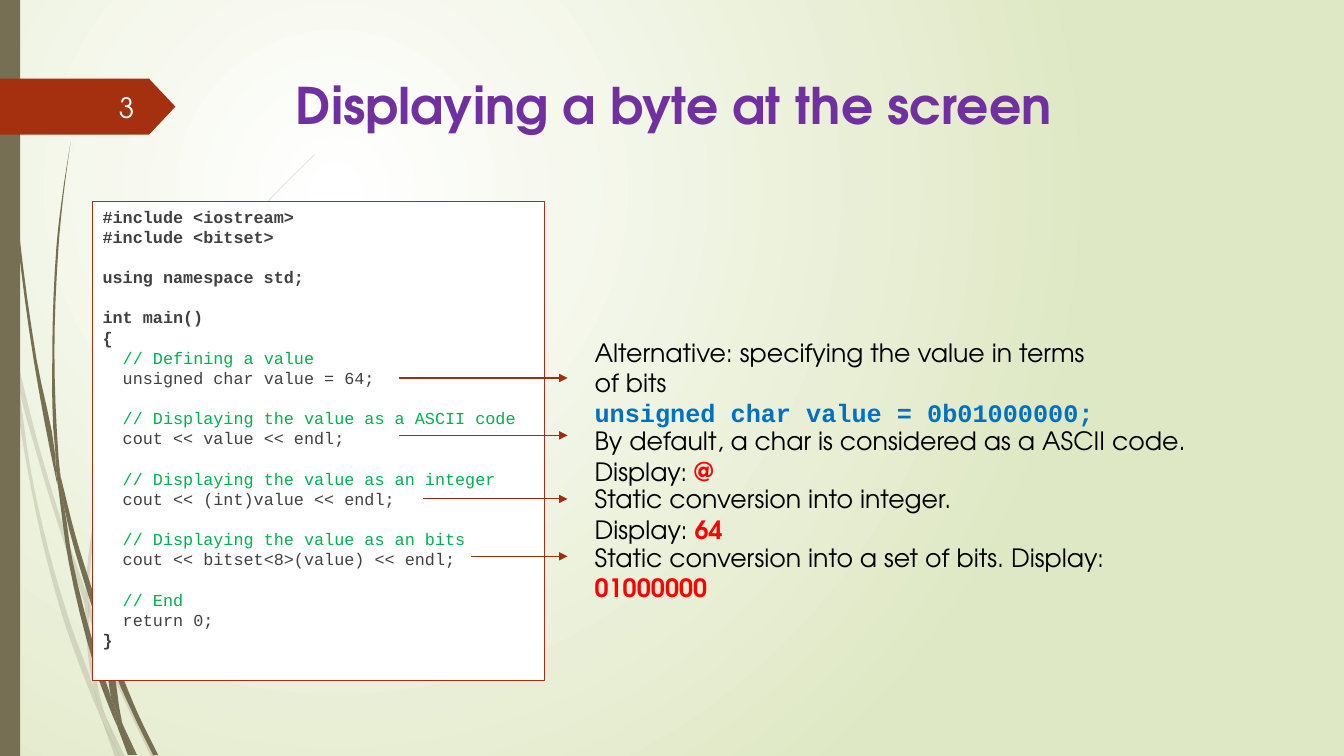
from lxml import etree
from pptx import Presentation
from pptx.dml.color import RGBColor
from pptx.enum.shapes import MSO_CONNECTOR, MSO_SHAPE
from pptx.enum.text import MSO_ANCHOR, PP_ALIGN
from pptx.oxml import parse_xml
from pptx.oxml.ns import qn
from pptx.util import Pt

RECTANGLE, PENTAGON, STRAIGHT = MSO_SHAPE.RECTANGLE, MSO_SHAPE.PENTAGON, MSO_CONNECTOR.STRAIGHT
TOP, MIDDLE = MSO_ANCHOR.TOP, MSO_ANCHOR.MIDDLE
LEFT, RIGHT = PP_ALIGN.LEFT, PP_ALIGN.RIGHT
SANS, MONO = "TeX Gyre Adventor", "Courier New"
OLIVE, RUST, DARK_RUST = "766F54", "A53010", "9E2E0F"
WHITE, BLACK, GREY, GREEN = "FFFFFF", "000000", "404040", "00B050"
RED, BLUE, PURPLE = "FF0000", "0070C0", "7030A0"

TITLE = "Displaying a byte at the screen"
PAGE_NUMBER = "3"
CODE_BLOCKS = [
    ["#include <iostream>", "#include <bitset>"],
    ["using namespace std;"],
    ["int main()", "{", "  // Defining a value", "  unsigned char value = 64;"],
    ["  // Displaying the value as a ASCII code", "  cout << value << endl;"],
    ["  // Displaying the value as an integer", "  cout << (int)value << endl;"],
    ["  // Displaying the value as an bits", "  cout << bitset<8>(value) << endl;"],
    ["  // End", "  return 0;", "}"],
]
CODE_LINE = INDENT = 14.4

REMARKS = [
    (237.2, 373, "Alternative: specifying the value in terms of bits\n",
     "unsigned char value = 0b01000000;", MONO, BLUE),
    (300.5, 453.6, "By default, a char is considered as a ASCII code. Display: ", "@", SANS, RED),
    (342, 316.1, "Static conversion into integer. Display: ", "64", SANS, RED),
    (383.8, 406.1, "Static conversion into a set of bits. Display: ", "01000000", SANS, RED),
]
REMARK_LEFT, REMARK_HEIGHT = 417.6, 28.8
ARROWS = [(285.1, 270), (285.1, 311), (302.4, 356.4), (336.8, 397.4)]
ARROW_END = 405.4

PALE_BLADES = [
    [(7.9, 252), (6.5, 231.8), (0, 203), (0, 215.3), (7.2, 247.7)],
    [(41.8, 375.8), (60.5, 431.3), (61.2, 421.9), (44.6, 374.4), (25.9, 311.8), (10.1, 248.4),
     (12.2, 270.7), (25.9, 323.3)],
    [(66.2, 437), (63.4, 429.1), (63.4, 439.2), (88.6, 499.7), (108, 540.7), (111.6, 540.7),
     (91.4, 498.2)],
    [(85.7, 540.7), (89.3, 540.7), (75.6, 511.9)],
    [(67, 491.8), (50.4, 445.7), (34.6, 392.4), (22.3, 337.7), (12.2, 270.7), (7.9, 252),
     (13, 295.2), (20.2, 338.4), (31.7, 393.1), (46.8, 447.1), (66.2, 499), (72.7, 514.1),
     (71.3, 509)],
    [(60.5, 431.3), (62.6, 465.1), (67, 491.8), (69.1, 498.2), (75.6, 511.9), (74.2, 508.3),
     (65.5, 465.1), (63.4, 439.2), (63.4, 437.8)],
    [(63.4, 429.1), (63.4, 420.5), (68.4, 375.8), (79.2, 332.6), (95, 290.9), (115.2, 251.3),
     (164.9, 176.4), (193, 142.6), (224.6, 110.9), (224.6, 110.2), (193, 141.8), (164.2, 175.7),
     (113.8, 250.6), (93.6, 290.2), (77, 331.9), (66.2, 375.8), (61.2, 420.5), (61.2, 421.9)],
    [(72.7, 514.1), (82.1, 540.7), (85.7, 540.7)],
    [(63.4, 437.8), (63.4, 439.2), (63.4, 429.1), (61.2, 421.9), (60.5, 431.3)],
    [(69.1, 498.2), (67, 491.8), (71.3, 509), (72.7, 514.1), (85.7, 540.7), (75.6, 511.9)],
]
DARK_BLADES = [
    [(5, 79.2), (12.2, 167.8), (23.8, 255.6), (40.3, 343.4), (41, 346.3), (39.6, 329),
     (39.6, 326.2), (25.9, 255.6), (13.7, 167), (5.8, 78.5), (3.6, 34.6), (2.9, 0), (2.2, 0),
     (2.9, 34.6)],
    [(63.4, 426.2), (76.3, 464.4), (76.3, 455.8), (76.3, 454.3), (67, 424.8), (54, 383),
     (43.2, 339.8), (46.1, 363.6)],
    [(81.4, 467.3), (79.2, 461.5), (79.9, 472.3), (95, 509.8), (109.4, 539.3), (113, 539.3),
     (97.9, 508.3)],
    [(79.2, 497.5), (70.6, 473), (51.8, 400.3), (46.1, 363.6), (41, 343.4), (49, 401),
     (67, 474.5), (79.9, 509.8), (84.2, 519.8), (83.5, 516.2)],
    [(43.2, 339.8), (41.8, 326.2), (38.9, 251.3), (41.8, 176.4), (45.4, 139), (50.4, 101.5),
     (44.6, 139), (40.3, 176.4), (37.4, 251.3), (39.6, 323.3)],
    [(95.8, 539.3), (97.9, 539.3), (87.8, 517.7)],
    [(41, 343.4), (46.1, 363.6), (43.2, 339.8), (39.6, 323.3), (39.6, 326.2)],
    [(84.2, 519.8), (91.4, 539.3), (94.3, 539.3)],
    [(76.3, 464.4), (79.2, 497.5), (83.5, 508.3), (87.8, 517.7), (87.1, 515.5), (79.9, 472.3),
     (78.5, 468.7)],
    [(83.5, 508.3), (79.2, 497.5), (83.5, 516.2), (84.2, 519.8), (93.6, 539.3), (95.8, 539.3),
     (87.8, 517.7)],
]
BACKGROUND = """<p:bg xmlns:p="http://schemas.openxmlformats.org/presentationml/2006/main"
 xmlns:a="http://schemas.openxmlformats.org/drawingml/2006/main"><p:bgPr>
<a:gradFill rotWithShape="1"><a:gsLst>
<a:gs pos="0"><a:srgbClr val="FFFFFF"/></a:gs><a:gs pos="100000"><a:srgbClr val="DFE8C4"/></a:gs>
</a:gsLst><a:path path="circle"><a:fillToRect l="50000" t="50000" r="100000" b="100000"/></a:path>
</a:gradFill><a:effectLst/></p:bgPr></p:bg>"""


def color(value):
    return RGBColor.from_string(value)


def paint(shape, fill, line=None):
    shape.shadow.inherit = False
    shape.fill.solid()
    shape.fill.fore_color.rgb = color(fill)
    if line:
        shape.line.color.rgb = color(line)
        shape.line.width = Pt(0.75)
    else:
        shape.line.fill.background()


def style(font, name, size, tint, bold=False):
    font.name, font.size, font.bold = name, Pt(size), bold
    font.color.rgb = color(tint)


def add_box(page, left, top, width, height, anchor=TOP):
    frame = page.shapes.add_textbox(Pt(left), Pt(top), Pt(width), Pt(height)).text_frame
    frame.word_wrap, frame.vertical_anchor = True, anchor
    return frame.paragraphs[0]


def smooth(points, steps=4):
    knots = [complex(x, y) for x, y in points]
    sides = [after - knot for knot, after in zip(knots, knots[1:] + knots[:1])]
    units = [side / abs(side) for side in sides]
    curve = []
    for i, (knot, side, unit) in enumerate(zip(knots, sides, units)):
        before, after = units[i - 1], units[(i + 1) % len(units)]
        bends = [(unit + other) / abs(unit + other) if abs(unit - other) < 0.4 else unit
                 for other in (before, after)]
        first = knot + bends[0] * abs(side) / 3
        second = knot + side - bends[1] * abs(side) / 3
        for t in (step / steps for step in range(steps)):
            curve.append(knot * (1 - t) ** 3 + 3 * first * t * (1 - t) ** 2
                         + 3 * second * t * t * (1 - t) + (knot + side) * t ** 3)
    return [(Pt(spot.real), Pt(spot.imag)) for spot in curve]


def add_blade(page, points, opacity):
    corners = smooth(points)
    builder = page.shapes.build_freeform(*corners[0])
    builder.add_line_segments(corners[1:], close=True)
    blade = builder.convert_to_shape()
    paint(blade, OLIVE)
    if opacity < 100:
        tint = blade._element.spPr.find(qn("a:solidFill"))[0]
        etree.SubElement(tint, qn("a:alpha")).set("val", str(opacity * 1000))


def add_code(page):
    panel = page.shapes.add_shape(RECTANGLE, Pt(66.2), Pt(143.8), Pt(322.6), Pt(342.4))
    paint(panel, WHITE, RUST)
    frame = panel.text_frame
    frame.word_wrap, frame.vertical_anchor = True, TOP
    lines = [(line, i > 0 and j == 0) for i, block in enumerate(CODE_BLOCKS)
             for j, line in enumerate(block)]
    for index, (line, spaced) in enumerate(lines):
        para = frame.add_paragraph() if index else frame.paragraphs[0]
        text, indented = line.strip(), line.startswith(" ")
        para.text, para.alignment = text, LEFT
        para.line_spacing = Pt(CODE_LINE)
        para.space_before = Pt(CODE_LINE if spaced else 0)
        para._p.get_or_add_pPr().set("marL", str(Pt(INDENT if indented else 0)))
        style(para.font, MONO, 12, GREEN if text.startswith("//") else GREY, not indented)


def add_arrow(page, start, y):
    arrow = page.shapes.add_connector(STRAIGHT, Pt(start), Pt(y), Pt(ARROW_END), Pt(y))
    arrow.line.color.rgb, arrow.line.width = color(DARK_RUST), Pt(0.75)
    etree.SubElement(arrow.line._get_or_add_ln(), qn("a:tailEnd")).set("type", "triangle")
    etree.SubElement(arrow._element.spPr, qn("a:effectLst"))


deck = Presentation()
deck.slide_width, deck.slide_height = Pt(960), Pt(540)
page = deck.slides.add_slide(deck.slide_layouts[6])
page._element.cSld.insert(0, parse_xml(BACKGROUND))
for blades, opacity in ((PALE_BLADES, 20), (DARK_BLADES, 100)):
    for points in blades:
        add_blade(page, points, opacity)
paint(page.shapes.add_shape(RECTANGLE, 0, 0, Pt(14.4), Pt(540)), OLIVE)
badge = page.shapes.add_shape(PENTAGON, 0, Pt(56.2), Pt(125.3), Pt(40))
badge.adjustments[0] = 0.47
paint(badge, RUST)
title = add_box(page, 204.2, 49.4, 702, 100.8)
title.text = TITLE
style(title.font, SANS, 36, PURPLE, True)
add_code(page)
number = add_box(page, 41.8, 61.9, 61.2, 28.8, MIDDLE)
number.text, number.alignment = PAGE_NUMBER, RIGHT
style(number.font, SANS, 20, "FEFFFF")
for top, width, lead, value, name, tint in REMARKS:
    para = add_box(page, REMARK_LEFT, top, width, REMARK_HEIGHT)
    span = para.add_run()
    span.text = lead.rstrip("\n")
    style(span.font, SANS, 18, BLACK)
    if lead.endswith("\n"):
        para.add_line_break()
    span = para.add_run()
    span.text = value
    style(span.font, name, 18, tint, True)
for start, y in ARROWS:
    add_arrow(page, start, y)
deck.save("out.pptx")
